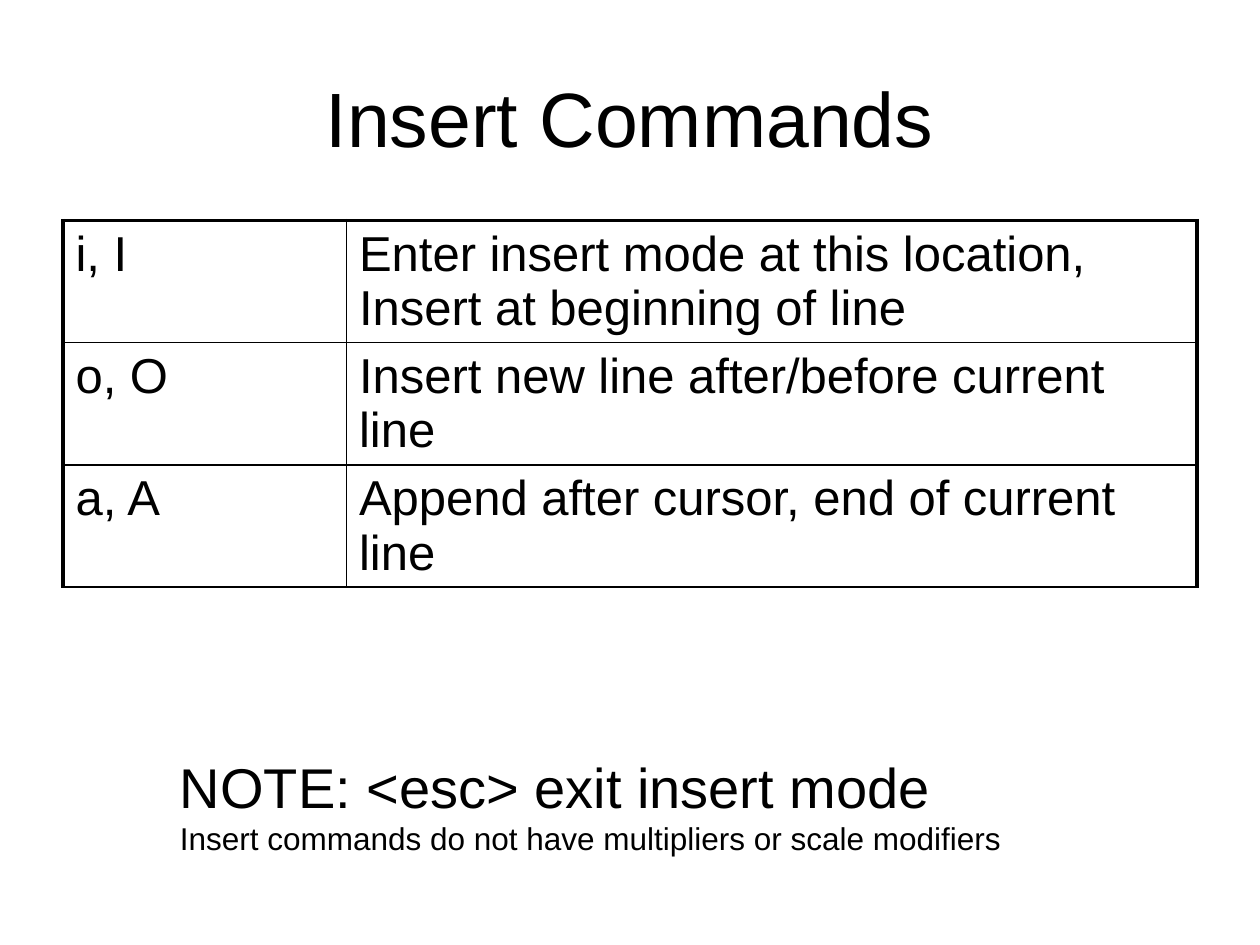
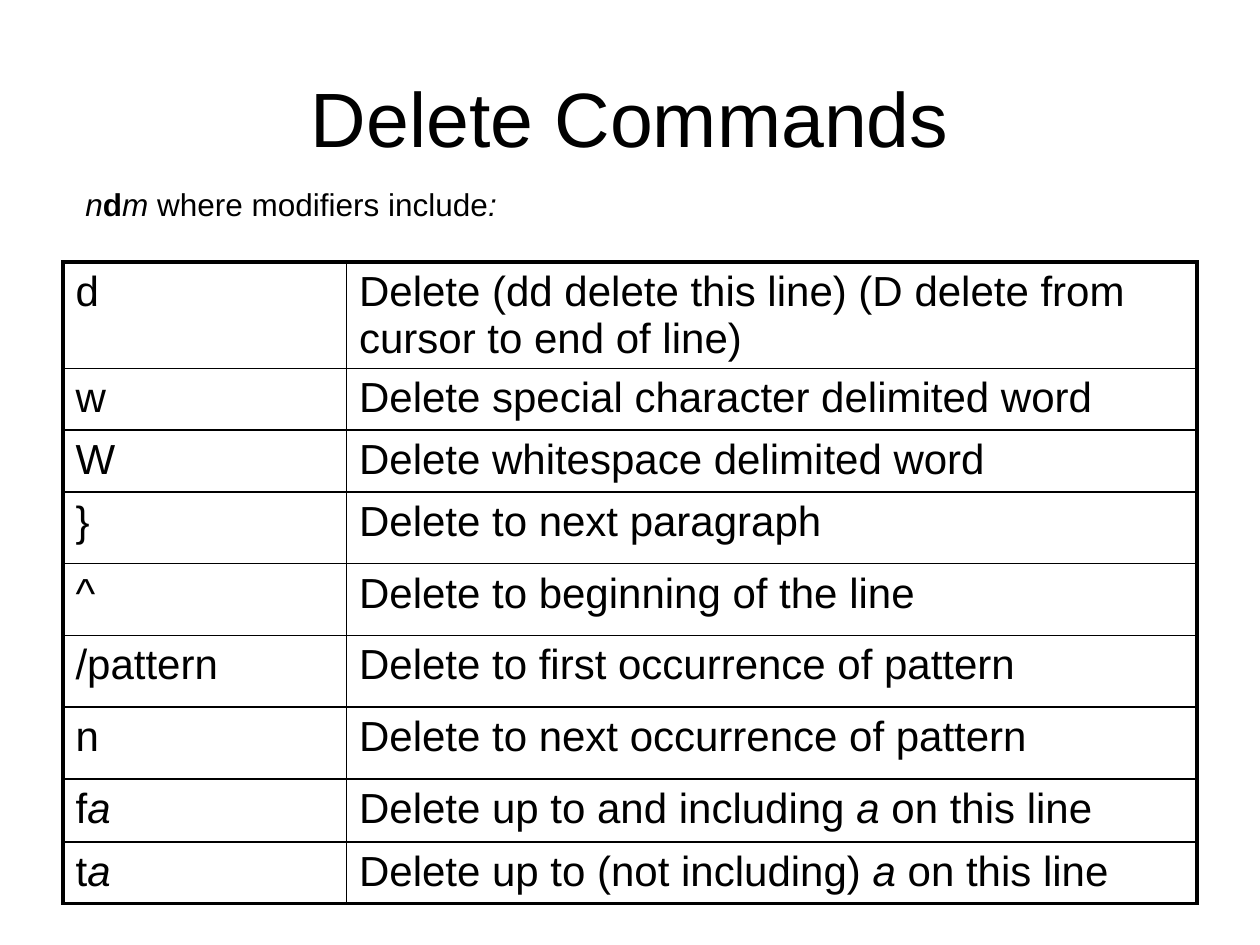
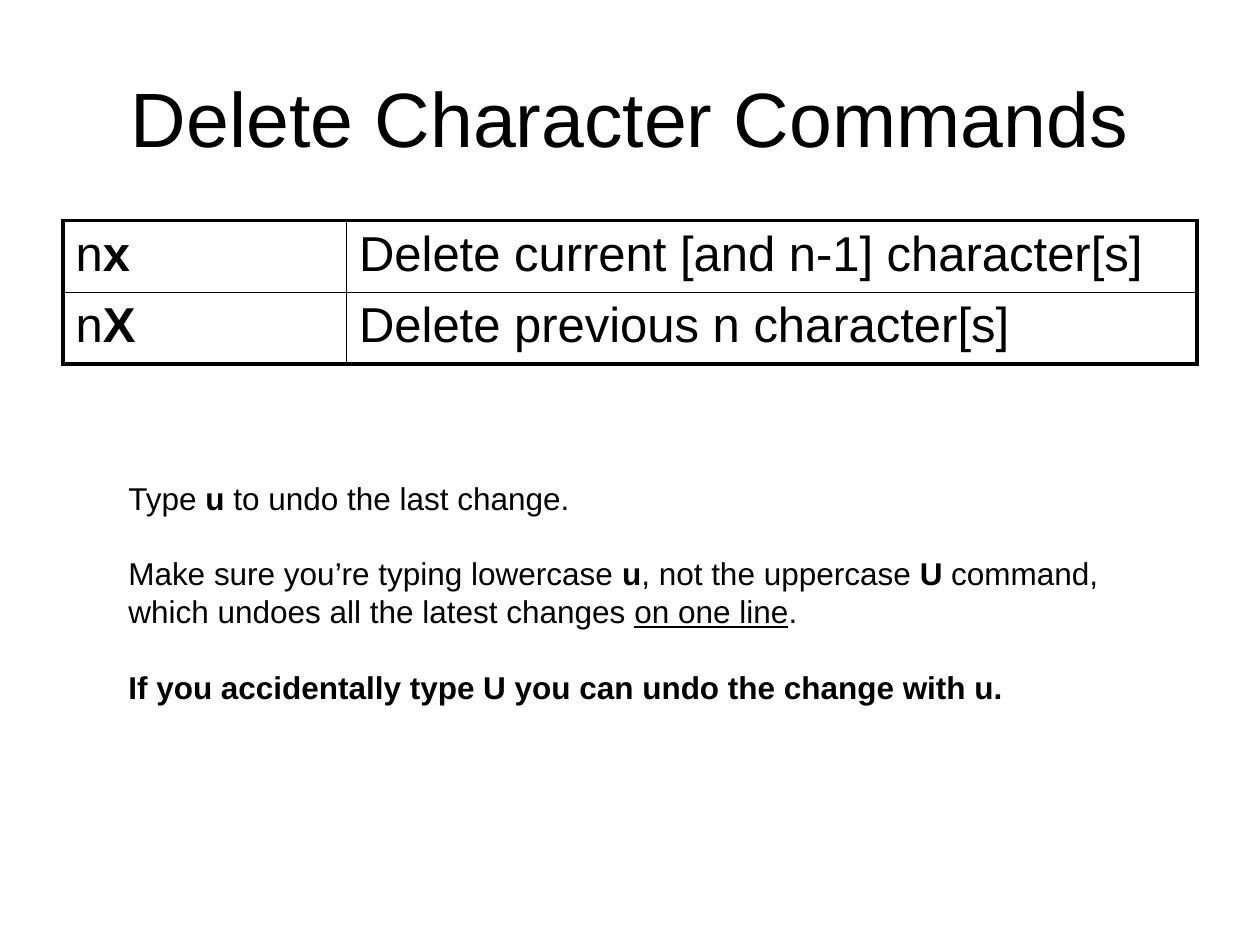
from lxml.etree import SubElement
from pptx import Presentation
from pptx.dml.color import RGBColor
from pptx.enum.text import MSO_ANCHOR, PP_ALIGN
from pptx.oxml.ns import qn
from pptx.util import Inches, Pt

COLORS = {"ink": "000000"}
FONT = "Arial"
TITLE_BOX = (0.5, 0.3, 9, 1.25)
TITLE_SIZE = 44
NOTE_SIZE = 18
TABLE_LEFT = 0.5
COLUMN_WIDTHS = (2.25, 6.75)
THICK, THIN = 2.25, 1
TEXT_LEADING = 1.2
TABLE_LEADING = 1.115

SLIDES = [
    {
        "title": "Insert Commands",
        "table_top": 1.75,
        "table_size": 28,
        "bottom_border": THIN,
        "row_heights": [0.97] * 3,
        "rows": [
            ("i, I", "Enter insert mode at this location, Insert at beginning of line"),
            ("o, O", "Insert new line after/before current line"),
            ("a, A", "Append after cursor, end of current line"),
        ],
        "note_box": (1.33, 5.92, 6.78, 0.94),
        "note_gap": 0,
        "notes": [
            ("NOTE: <esc> exit insert mode", 32),
            ("Insert commands do not have multipliers or scale modifiers", NOTE_SIZE),
        ],
    },
    {
        "title": "Delete Commands",
        "table_top": 2.08,
        "table_size": 24,
        "bottom_border": THICK,
        "row_heights": [0.84, 0.49, 0.49, 0.57, 0.57, 0.57, 0.57, 0.5, 0.49],
        "rows": [
            ("d", "Delete (dd delete this line) (D delete from cursor to end of line)"),
            ("w", "Delete special character delimited word"),
            ("W", "Delete whitespace delimited word"),
            ("}", "Delete to next paragraph"),
            ("^", "Delete to beginning of the line"),
            ("/pattern", "Delete to first occurrence of pattern"),
            ("n", "Delete to next occurrence of pattern"),
            (["f", ("a", "i")],
             ["Delete up to and including ", ("a", "i"), " on this line"]),
            (["t", ("a", "i")],
             ["Delete up to (not including) ", ("a", "i"), " on this line"]),
        ],
        "note_box": (0.58, 1.42, 3.5, 0.4),
        "note_gap": 0,
        "notes": [
            ([("n", "i"), ("d", "b"), ("m ", "i"), "where modifiers include", (":", "i")],
             NOTE_SIZE),
        ],
    },
    {
        "title": "Delete Character Commands",
        "table_top": 1.75,
        "table_size": 28,
        "bottom_border": THICK,
        "row_heights": [0.57] * 2,
        "rows": [
            (["n", ("x", "b")], "Delete current [and n-1] character[s]"),
            (["n", ("X", "b")], "Delete previous n character[s]"),
        ],
        "note_box": (0.92, 3.75, 8.42, 1.92),
        "note_gap": NOTE_SIZE * TEXT_LEADING,
        "notes": [
            (["Type ", ("u", "b"), " to undo the last change."], NOTE_SIZE),
            (["Make sure you’re typing lowercase ", ("u", "b"), ", not the uppercase ",
              ("U", "b"), " command, which undoes all the latest changes ",
              ("on one line", "u"), "."], NOTE_SIZE),
            ([("If you accidentally type U you can undo the change with u.", "b")],
             NOTE_SIZE),
        ],
    },
]


def write(para, content, size, leading):
    para.font.name = FONT
    para.font.size = Pt(size)
    para.font.color.rgb = RGBColor.from_string(COLORS["ink"])
    para.line_spacing = Pt(round(size * leading, 1))
    for part in [content] if isinstance(content, str) else content:
        text, style = (part, "") if isinstance(part, str) else part
        span = para.add_run()
        span.text = text
        if style == "b":
            span.font.bold = True
        elif style == "i":
            span.font.italic = True
        elif style == "u":
            span.font.underline = True


def add_text(page, place, lines, gap=0, align=PP_ALIGN.LEFT, anchor=MSO_ANCHOR.TOP):
    box = page.shapes.add_textbox(*map(Inches, place))
    frame = box.text_frame
    frame.word_wrap = True
    frame.vertical_anchor = anchor
    for index, (content, size) in enumerate(lines):
        para = frame.add_paragraph() if index else frame.paragraphs[0]
        para.alignment = align
        if index and gap:
            para.space_before = Pt(gap)
        write(para, content, size, TEXT_LEADING)


def set_borders(cell, widths):
    properties = cell._tc.get_or_add_tcPr()
    for index, (side, width) in enumerate(zip("LRTB", widths)):
        line = SubElement(properties, qn(f"a:ln{side}"), w=str(Pt(width)))
        fill = SubElement(line, qn("a:solidFill"))
        SubElement(fill, qn("a:srgbClr"), val=COLORS["ink"])
        properties.insert(index, line)


def add_command_table(page, content):
    rows, heights = content["rows"], content["row_heights"]
    last_row, last_column = len(rows) - 1, len(COLUMN_WIDTHS) - 1
    place = (TABLE_LEFT, content["table_top"], sum(COLUMN_WIDTHS), sum(heights))
    table = page.shapes.add_table(
        len(rows), len(COLUMN_WIDTHS), *map(Inches, place)).table
    table.first_row = False
    table.horz_banding = False
    for column, width in zip(table.columns, COLUMN_WIDTHS):
        column.width = Inches(width)
    for row, height in zip(table.rows, heights):
        row.height = Inches(height)
    for r, row in enumerate(rows):
        for c, text in enumerate(row):
            cell = table.cell(r, c)
            cell.fill.background()
            set_borders(cell, (
                THIN if c else THICK,
                THICK if c == last_column else THIN,
                THIN if r else THICK,
                content["bottom_border"] if r == last_row else THIN,
            ))
            write(cell.text_frame.paragraphs[0], text, content["table_size"], TABLE_LEADING)


def main():
    deck = Presentation()
    deck.slide_width, deck.slide_height = Inches(10), Inches(7.5)
    for content in SLIDES:
        page = deck.slides.add_slide(deck.slide_layouts[6])
        add_text(page, TITLE_BOX, [(content["title"], TITLE_SIZE)],
                 align=PP_ALIGN.CENTER, anchor=MSO_ANCHOR.MIDDLE)
        add_command_table(page, content)
        add_text(page, content["note_box"], content["notes"], content["note_gap"])
    deck.save("out.pptx")


if __name__ == "__main__":
    main()
